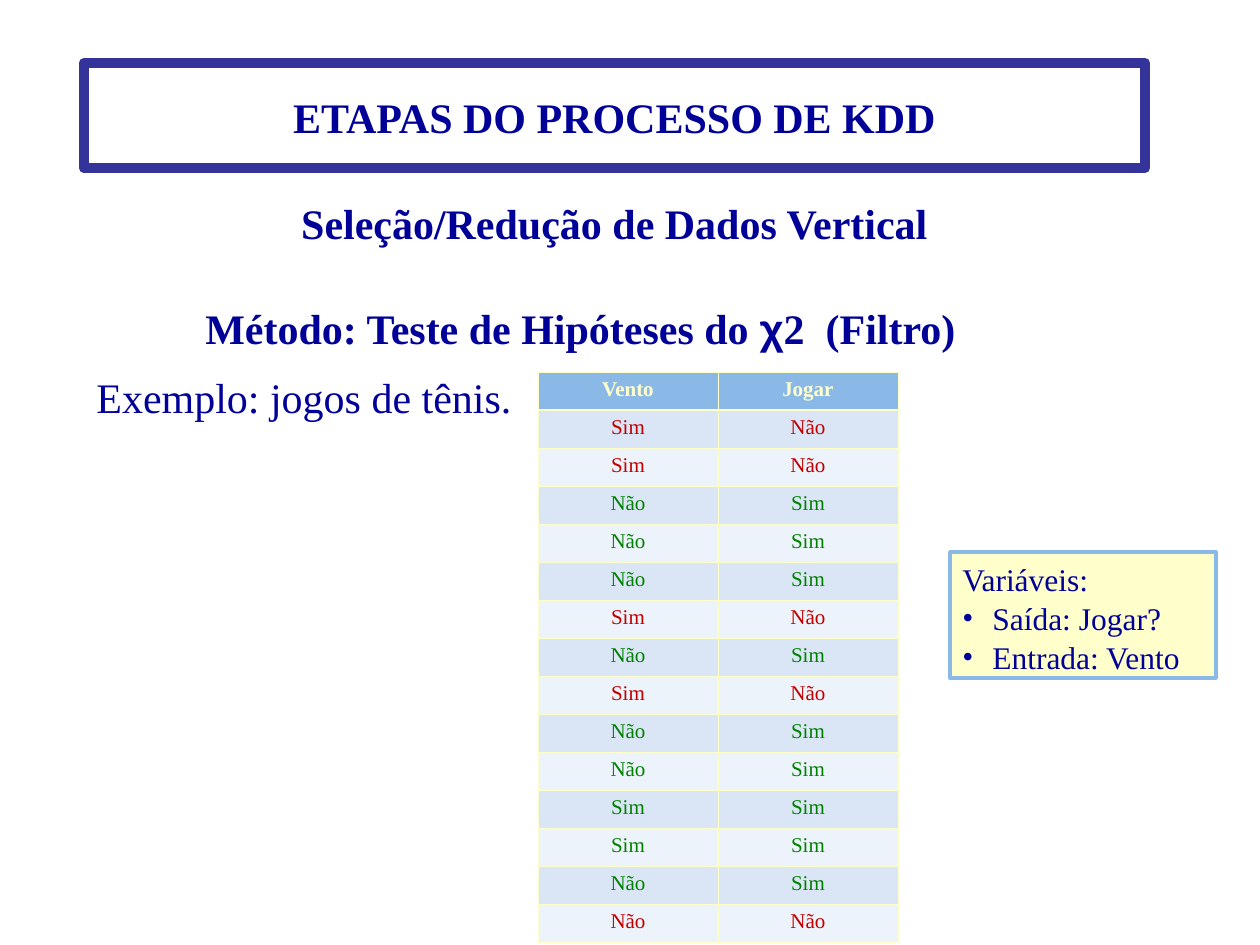
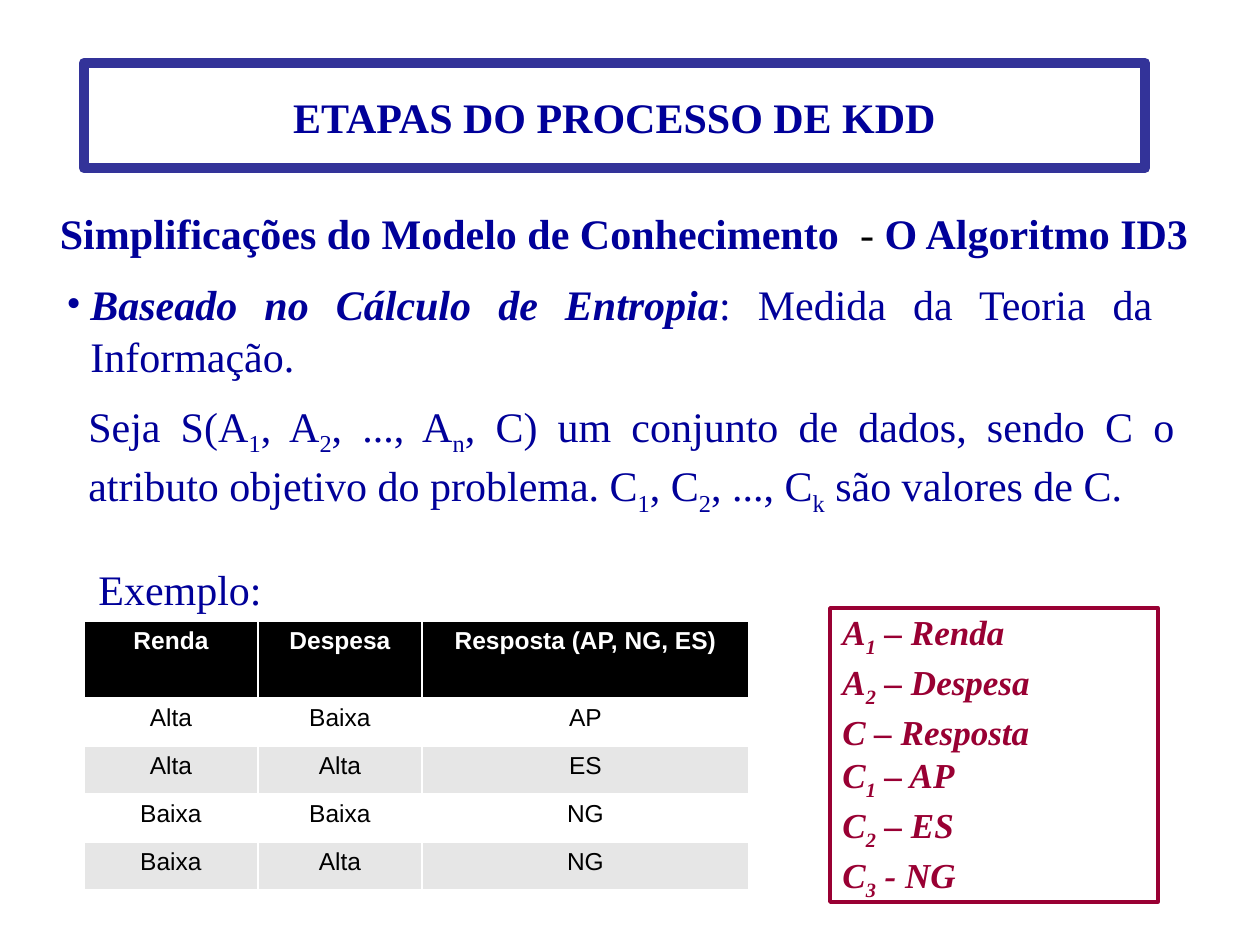
from lxml.etree import SubElement
from pptx import Presentation
from pptx.dml.color import RGBColor
from pptx.enum.shapes import MSO_SHAPE
from pptx.enum.text import MSO_ANCHOR, PP_ALIGN
from pptx.oxml.ns import qn
from pptx.util import Emu, Pt

EMU_PER_PX = 914400 / 126
SERIF, SANS = "Times New Roman", "Arial"
COLORS = {
    "navy": "000099", "frame": "333399", "cream": "FFFFCC", "sky": "8AB9E7",
    "band": "DAE6F6", "pale": "EDF3FA", "red": "C00000", "green": "008000",
    "wine": "990033", "black": "000000", "white": "FFFFFF", "gray": "E6E6E6",
}
WIND_GAMES = [
    ("Sim", "Não"), ("Sim", "Não"), ("Não", "Sim"), ("Não", "Sim"), ("Não", "Sim"),
    ("Sim", "Não"), ("Não", "Sim"), ("Sim", "Não"), ("Não", "Sim"), ("Não", "Sim"),
    ("Sim", "Sim"), ("Sim", "Sim"), ("Não", "Sim"), ("Não", "Não"),
]
CREDIT_CASES = [
    ("Alta", "Baixa", "AP"), ("Alta", "Alta", "ES"),
    ("Baixa", "Baixa", "NG"), ("Baixa", "Alta", "NG"),
]


def px(length):
    """Turn px into EMU."""
    return Emu(round(length * EMU_PER_PX))


def rgb(name):
    """Look up a named colour."""
    return RGBColor.from_string(COLORS[name])


def style_font(font, size, color="navy", bold=False, italic=False, face=SERIF):
    """Apply the character format of a run."""
    font.size, font.name = Pt(size), face
    font.bold, font.italic = bold, italic
    font.color.rgb = rgb(color)


def add_bullet(paragraph, indent):
    """Give a paragraph a round bullet with a hanging indent."""
    props = paragraph._p.get_or_add_pPr()
    props.set("marL", str(px(indent)))
    props.set("indent", str(-px(indent)))
    bullet_color = SubElement(props, qn("a:buClr"))
    SubElement(bullet_color, qn("a:srgbClr"), val=COLORS["navy"])
    SubElement(props, qn("a:buFont"), typeface=SERIF)
    SubElement(props, qn("a:buChar"), char="•")


def write_paragraph(paragraph, pieces, base, align):
    """Write (text, format) pieces; text between underscores is subscript."""
    paragraph.alignment = align
    paragraph.line_spacing = 1.04
    for text, changes in pieces:
        for index, part in enumerate(text.split("_")):
            if part:
                run = paragraph.add_run()
                run.text = part
                style_font(run.font, **{**base, **changes})
                if index % 2:
                    run.font._element.set("baseline", "-25000")


def fill_text(shape, lines, size=24, align=PP_ALIGN.JUSTIFY, anchor=MSO_ANCHOR.TOP,
              bullets=(), indent=0, **look):
    """Fill a shape with paragraphs, each a string or a list of pieces."""
    frame = shape.text_frame
    frame.word_wrap = True
    frame.vertical_anchor = anchor
    for index, line in enumerate(lines):
        paragraph = frame.add_paragraph() if index else frame.paragraphs[0]
        pieces = [(line, {})] if isinstance(line, str) else line
        write_paragraph(paragraph, pieces, {"size": size, **look}, align)
        if index in bullets:
            add_bullet(paragraph, indent)


def add_text(slide, box, lines, **look):
    """Place a text box."""
    fill_text(slide.shapes.add_textbox(*map(px, box)), lines, **look)


def add_frame(slide, box, lines, border, width, fill=None, **look):
    """Place an outlined rectangle with text."""
    frame = slide.shapes.add_shape(MSO_SHAPE.RECTANGLE, *map(px, box))
    frame.shadow.inherit = False
    if fill:
        frame.fill.solid()
        frame.fill.fore_color.rgb = rgb(fill)
    else:
        frame.fill.background()
    frame.line.color.rgb = rgb(border)
    frame.line.width = Pt(width)
    fill_text(frame, lines, **look)


def add_borders(cell, color, widths):
    """Draw the left, right, top and bottom borders of a cell."""
    props = cell._tc.get_or_add_tcPr()
    for side, width in zip(("lnL", "lnR", "lnT", "lnB"), widths):
        line = SubElement(props, qn(f"a:{side}"), w=str(Pt(width)))
        SubElement(SubElement(line, qn("a:solidFill")), qn("a:srgbClr"), val=COLORS[color])


def add_grid(slide, left, top, columns, heights, rows, fills, border, widths, look_of):
    """Place a table; fills are the header colour and two alternating bands."""
    thin, under_header = widths
    grid = slide.shapes.add_table(len(rows), len(columns), px(left), px(top),
                                  px(sum(columns)), px(sum(heights))).table
    grid.first_row = grid.horz_banding = False
    for column, width in zip(grid.columns, columns):
        column.width = px(width)
    for r, row in enumerate(rows):
        grid.rows[r].height = px(heights[r])
        for c, value in enumerate(row):
            cell = grid.cell(r, c)
            add_borders(cell, border, (thin, thin, under_header if r == 1 else thin,
                                       under_header if r == 0 else thin))
            cell.fill.solid()
            cell.fill.fore_color.rgb = rgb(fills[0] if r == 0 else fills[2 - r % 2])
            cell.text_frame.text = value
            paragraph = cell.text_frame.paragraphs[0]
            paragraph.alignment = PP_ALIGN.CENTER
            style_font(paragraph.runs[0].font, bold=r == 0, **look_of(r, row))


def add_stage_slide(deck, heading, heading_box):
    """Start a slide with the framed title and its heading."""
    slide = deck.slides.add_slide(deck.slide_layouts[6])
    add_frame(slide, (84, 63, 1061, 105), ["ETAPAS DO PROCESSO DE KDD"], "frame", 6,
              align=PP_ALIGN.CENTER, anchor=MSO_ANCHOR.MIDDLE, bold=True)
    add_text(slide, heading_box, [heading], align=PP_ALIGN.CENTER, bold=True)
    return slide


def wind_look(r, row):
    """Colour a game by whether it was played."""
    color = "cream" if r == 0 else "green" if row[1] == "Sim" else "red"
    return {"size": 12, "color": color}


def credit_look(r, row):
    """Use white for the header and black for the cases."""
    return {"size": 14, "color": "black" if r else "white", "face": SANS}


def build_chi_square(deck):
    """Build the slide on the chi-square filter."""
    slide = add_stage_slide(deck, "Seleção/Redução de Dados Vertical", (84, 189, 1061, 63))
    method = [("Método: Teste de Hipóteses do ", {}), ("χ", {"face": SANS}),
              ("2  (Filtro)", {})]
    add_text(slide, (193, 294, 858, 63), [method], bold=True)
    add_text(slide, (84, 364, 1101, 63), ["Exemplo: jogos de tênis."],
             anchor=MSO_ANCHOR.MIDDLE)
    add_frame(slide, (950, 552, 266, 126),
              ["Variáveis:", "Saída: Jogar?", "Entrada: Vento"], "sky", 2, fill="cream",
              size=18, bullets=(1, 2), indent=30)
    rows = [("Vento", "Jogar"), *WIND_GAMES]
    add_grid(slide, 538, 372, [180] * 2, [38] * len(rows), rows,
             ("sky", "band", "pale"), "cream", (0.45, 1.47), wind_look)


def build_entropy(deck):
    """Build the slide on ID3 and entropy."""
    heading = [("Simplificações do Modelo de Conhecimento", {}),
               ("  - ", {"color": "black", "bold": False}), ("O Algoritmo ID3", {})]
    slide = add_stage_slide(deck, heading, (44, 199, 1160, 63))
    basis = [("Baseado no Cálculo de Entropia", {"bold": True, "italic": True}),
             (": Medida da Teoria da Informação.", {})]
    middle = MSO_ANCHOR.MIDDLE
    add_text(slide, (54, 272, 1111, 113), [basis], anchor=middle, bullets=(0,), indent=24)
    add_text(slide, (76, 394, 1111, 127),
             ["Seja S(A_1_, A_2_, ..., A_n_, C) um conjunto de dados, sendo C o atributo "
              "objetivo do problema. C_1_, C_2_, ..., C_k_ são valores de C."],
             anchor=middle)
    rows = [("Renda", "Despesa", "Resposta (AP, NG, ES)"), *CREDIT_CASES]
    add_grid(slide, 84, 621, [174, 164, 327], [77] + [48] * len(CREDIT_CASES), rows,
             ("black", "white", "gray"), "white", (0.96, 0.96), credit_look)
    add_frame(slide, (830, 608, 328, 294),
              ["A_1_ – Renda", "A_2_ – Despesa", "C – Resposta",
               "C_1_ – AP", "C_2_ – ES", "C_3_ - NG"], "wine", 2, size=20,
              anchor=middle, color="wine", bold=True, italic=True)
    add_text(slide, (86, 556, 198, 63), ["Exemplo:"], anchor=middle)


def main():
    """Build and save the deck."""
    deck = Presentation()
    deck.slide_width, deck.slide_height = px(1260), px(945)
    build_chi_square(deck)
    build_entropy(deck)
    deck.save("out.pptx")


if __name__ == "__main__":
    main()
